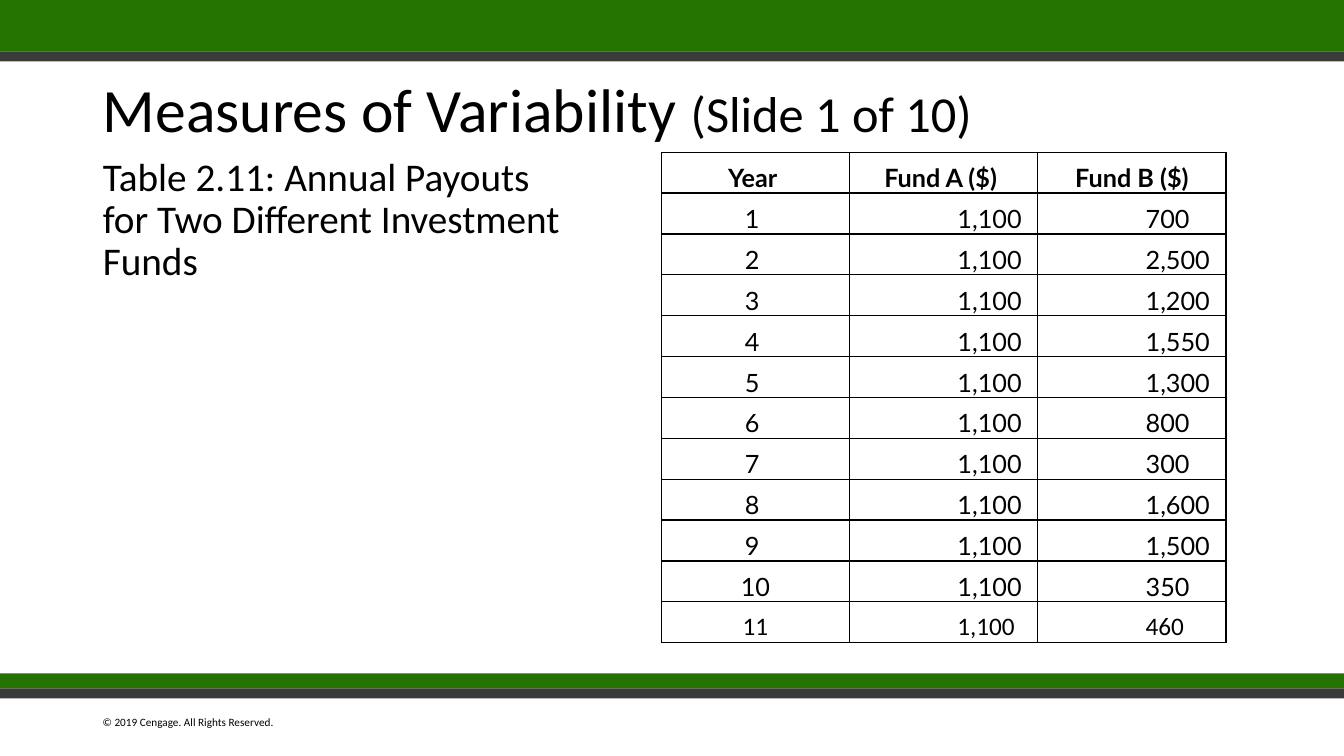
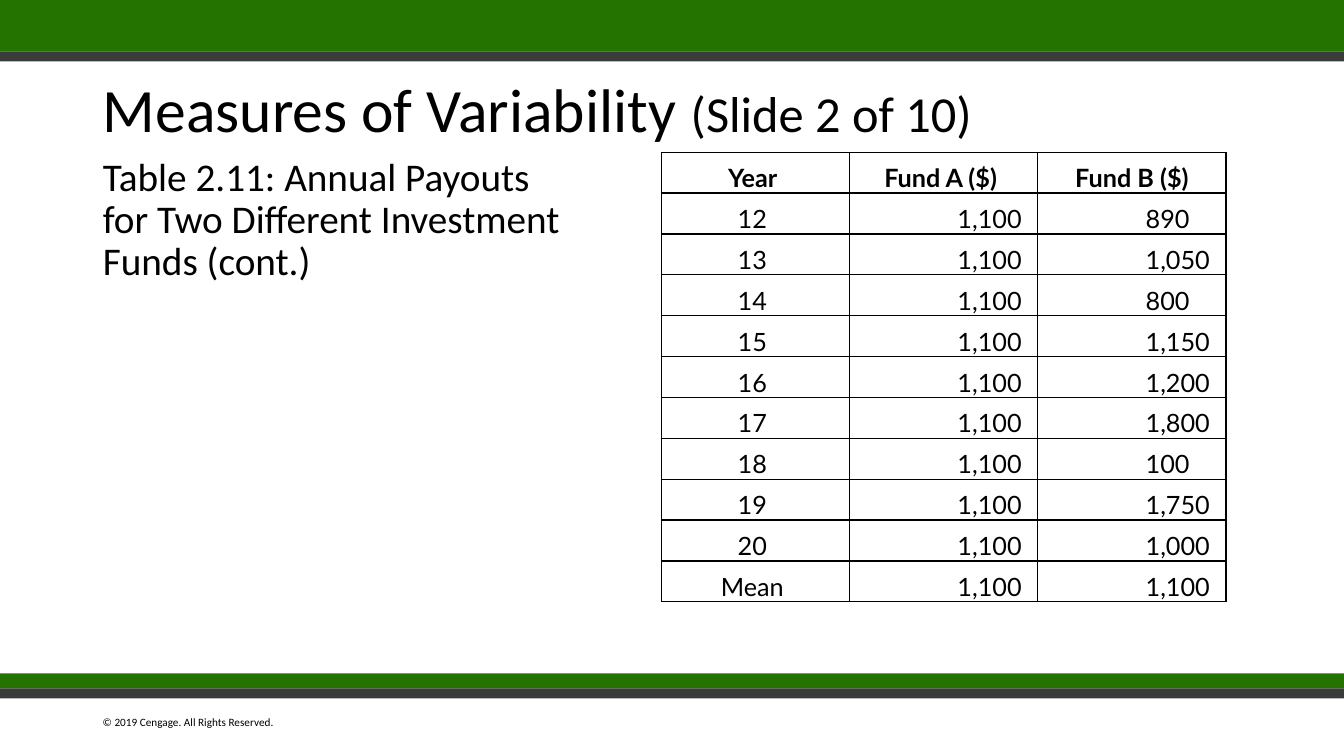
from dataclasses import dataclass

from lxml import etree
from pptx import Presentation
from pptx.dml.color import RGBColor
from pptx.enum import shapes, text
from pptx.oxml import ns
from pptx.util import Inches, Pt


@dataclass(frozen=True)
class Theme:
    green: str = "247300"
    charcoal: str = "3B3B3B"
    dark_gray: str = "3A3A3A"
    ink: str = "000000"
    font: str = "Calibri"
    table_font: str = "Lato"
    title_size: int = 44
    counter_size: int = 36
    caption_size: int = 28
    table_size: int = 18
    copyright_size: int = 8
    line_spacing: float = 0.9
    table_spacing: float = 1.07


THEME = Theme()
SLIDE_WIDTH, SLIDE_HEIGHT = 13.33, 7.5
MARGIN = 0.92
BANDS = [  # top, height, colour
    (0, 0.51, THEME.green),
    (0.51, 0.1, THEME.charcoal),
    (6.68, 0.15, THEME.green),
    (6.83, 0.1, THEME.dark_gray),
]
TABLE_LEFT, TABLE_TOP, TABLE_WIDTH, TABLE_BOTTOM = 6.56, 1.51, 5.6, 6.38
FULL_ROWS = 12
ROW_HEIGHT = Inches(TABLE_BOTTOM - TABLE_TOP) // FULL_ROWS
TAB_STOP = 1

# Content
HEADINGS = ("Year ", "Fund A ($) ", "Fund B ($)")
FUND_A = "1,100"
CAPTION = "Table 2.11: Annual Payouts for Two Different Investment Funds"
PARTS = [  # caption, (year, fund B payout) rows
    (CAPTION, [
        ("1 ", "700"), ("2 ", "2,500"), ("3 ", "1,200"), ("4 ", "1,550"),
        ("5 ", "1,300"), ("6 ", "800"), ("7 ", "300"), ("8 ", "1,600"),
        ("9 ", "1,500"), ("10", "350"), ("11", "460"),
    ]),
    (CAPTION + " (cont.)", [
        ("12 ", "890"), ("13 ", "1,050"), ("14 ", "800"), ("15 ", "1,150"),
        ("16 ", "1,200"), ("17 ", "1,800"), ("18 ", "100"), ("19 ", "1,750"),
        ("20 ", "1,000"), ("Mean ", "1,100"),
    ]),
]
CALIBRI_YEARS = {"11"}


def add_run(paragraph, words, size, font=THEME.font, bold=False):
    run = paragraph.add_run()
    run.text = words
    run.font.name, run.font.size, run.font.bold = font, Pt(size), bold
    run.font.color.rgb = RGBColor.from_string(THEME.ink)


def add_tab_stop(paragraph):
    tabs = etree.SubElement(paragraph._p.get_or_add_pPr(), ns.qn("a:tabLst"))
    etree.SubElement(tabs, ns.qn("a:tab"), pos=str(Inches(TAB_STOP)), algn="l")


def add_borders(cell):
    properties = cell._tc.get_or_add_tcPr()
    for position, side in enumerate("LRTB"):
        border = etree.Element(ns.qn(f"a:ln{side}"), w=str(Pt(1)))
        fill = etree.SubElement(border, ns.qn("a:solidFill"))
        etree.SubElement(fill, ns.qn("a:srgbClr"), val=THEME.ink)
        properties.insert(position, border)


class Deck:
    def __init__(self):
        self.presentation = Presentation()
        self.presentation.slide_width = Inches(SLIDE_WIDTH)
        self.presentation.slide_height = Inches(SLIDE_HEIGHT)
        self.layout = self.presentation.slide_layouts[1]
        self.slide = None
        # Title and caption places, inherited by every slide
        title, caption = list(self.layout.placeholders)[:2]
        self.place(title, MARGIN, 0.68, 11.5, 0.87)
        self.place(caption, MARGIN, 1.51, 4.93, 1.15)

    @staticmethod
    def place(holder, left, top, width, height):
        holder.left, holder.top = Inches(left), Inches(top)
        holder.width, holder.height = Inches(width), Inches(height)

    def new_slide(self):
        self.slide = self.presentation.slides.add_slide(self.layout)
        for top, height, color in BANDS:
            self.band(top, height, color)
        self.copyright()

    def band(self, top, height, color):
        band = self.slide.shapes.add_shape(
            shapes.MSO_SHAPE.RECTANGLE, 0, Inches(top),
            Inches(SLIDE_WIDTH), Inches(height))
        band.shadow.inherit = False
        band.fill.solid()
        band.fill.fore_color.rgb = RGBColor.from_string(color)
        band.line.fill.background()

    def copyright(self):
        notice = self.slide.shapes.add_textbox(
            Inches(MARGIN), Inches(7.05), Inches(2), Inches(0.23))
        notice.text_frame.word_wrap = True
        add_run(notice.text_frame.paragraphs[0],
                "© 2019 Cengage. All Rights Reserved.", THEME.copyright_size)

    def title(self, topic, counter):
        frame = self.slide.shapes.title.text_frame
        frame.vertical_anchor = text.MSO_ANCHOR.MIDDLE
        heading = frame.paragraphs[0]
        heading.alignment = text.PP_ALIGN.LEFT
        heading.line_spacing = THEME.line_spacing
        add_run(heading, topic, THEME.title_size)
        add_run(heading, counter, THEME.counter_size)

    def caption(self, words):
        caption = self.slide.placeholders[1].text_frame.paragraphs[0]
        properties = caption._p.get_or_add_pPr()
        properties.set("marL", "0")
        properties.set("indent", "0")
        etree.SubElement(properties, ns.qn("a:buNone"))
        caption.line_spacing = THEME.line_spacing
        caption.space_before = Pt(0)
        add_run(caption, words, THEME.caption_size)

    def payout_table(self, payouts):
        row_count = len(payouts) + 1
        table = self.slide.shapes.add_table(
            row_count, len(HEADINGS), Inches(TABLE_LEFT), Inches(TABLE_TOP),
            Inches(TABLE_WIDTH), ROW_HEIGHT * row_count).table
        table.first_row = table.horz_banding = False
        for column, heading in enumerate(HEADINGS):
            self.cell(table.cell(0, column), heading, bold=True)
        for row, (year, fund_b) in enumerate(payouts, 1):
            font = THEME.font if year in CALIBRI_YEARS else THEME.table_font
            self.cell(table.cell(row, 0), year, font)
            for column, payout in enumerate((FUND_A, fund_b), 1):
                self.cell(table.cell(row, column), payout, font, tabbed=True)

    def cell(self, cell, words, font=THEME.table_font, bold=False,
             tabbed=False):
        cell.fill.background()
        add_borders(cell)
        cell.vertical_anchor = text.MSO_ANCHOR.BOTTOM
        cell.margin_left = cell.margin_right = Inches(0.07)
        cell.margin_top = cell.margin_bottom = 0
        entry = cell.text_frame.paragraphs[0]
        entry.line_spacing = THEME.table_spacing
        if tabbed:
            add_tab_stop(entry)
            words = "\t" + words
        else:
            entry.alignment = text.PP_ALIGN.CENTER
        add_run(entry, words, THEME.table_size, font, bold)


def main():
    deck = Deck()
    for number, (caption, payouts) in enumerate(PARTS, 1):
        deck.new_slide()
        deck.title("Measures of Variability ", f"(Slide {number} of 10)")
        deck.caption(caption)
        deck.payout_table(payouts)
    deck.presentation.save("out.pptx")


if __name__ == "__main__":
    main()
